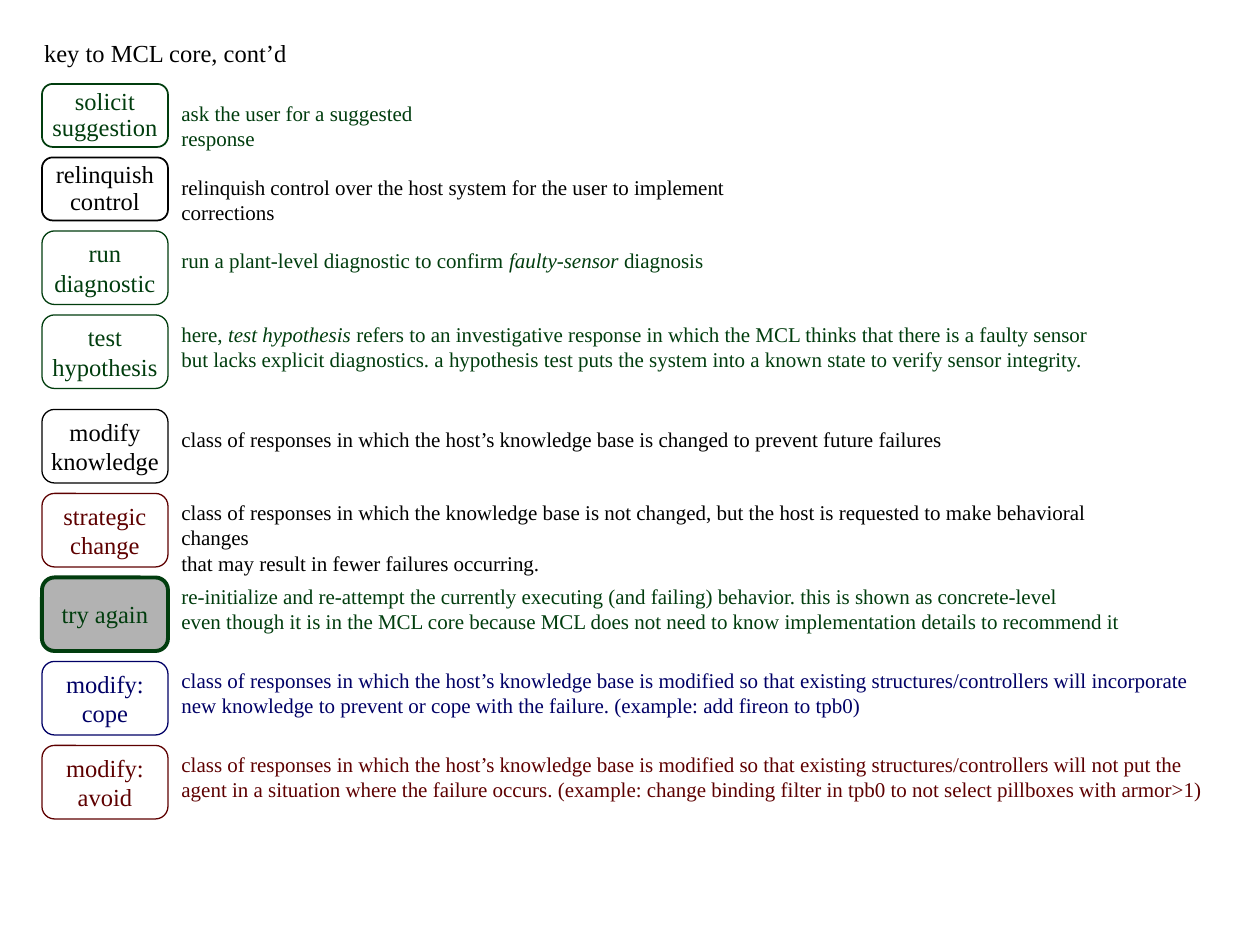
from pptx import Presentation
from pptx.dml.color import RGBColor
from pptx.enum.shapes import MSO_SHAPE
from pptx.enum.text import MSO_ANCHOR, MSO_AUTO_SIZE, PP_ALIGN
from pptx.util import Emu, Pt

BLACK = RGBColor(0x00, 0x00, 0x00)
GREEN = RGBColor(0x01, 0x3D, 0x0E)
RED = RGBColor(0x5E, 0x00, 0x00)
BLUE = RGBColor(0x00, 0x00, 0x66)
GRAY = RGBColor(0xB2, 0xB2, 0xB2)

SCALE = 7620
LEFT, WIDE = 40, 120
SHORT, TALL = 60, 70

ROWS = [
    (80, SHORT, GREEN, ["solicit", "suggestion"], GREEN, 319,
     ["ask the user for a suggested response"]),
    (150, SHORT, BLACK, ["relinquish", "control"], BLACK, 635,
     ["relinquish control over the host system for the user to implement corrections"]),
    (220, TALL, GREEN, ["run", "diagnostic"], GREEN, 521,
     ["run a plant-level diagnostic to confirm *faulty-sensor *diagnosis"]),
    (300, TALL, GREEN, ["test", "hypothesis"], GREEN, 888,
     ["here, *test hypothesis* refers to an investigative response in which the MCL thinks that there is a faulty sensor",
      "but lacks explicit diagnostics. a hypothesis test puts the system into a known state to verify sensor integrity."]),
    (390, TALL, BLACK, ["modify", "knowledge"], BLACK, 750,
     ["class of responses in which the host’s knowledge base is changed to prevent future failures"]),
    (470, TALL, RED, ["strategic", "change"], BLACK, 955,
     ["class of responses in which the knowledge base is not changed, but the host is requested to make behavioral changes",
      "that may result in fewer failures occurring."]),
    (550, TALL, GREEN, ["try again"], GREEN, 919,
     ["re-initialize and re-attempt the currently executing (and failing) behavior. this is shown as concrete-level",
      "even though it is in the MCL core because MCL does not need to know implementation details to recommend it"]),
    (630, TALL, BLUE, ["modify:", "cope"], BLUE, 985,
     ["class of responses in which the host’s knowledge base is modified so that existing structures/controllers will incorporate",
      "new knowledge to prevent or cope with the failure. (example: add fireon to tpb0)"]),
    (710, TALL, RED, ["modify:", "avoid"], RED, 997,
     ["class of responses in which the host’s knowledge base is modified so that existing structures/controllers will not put the",
      "agent in a situation where the failure occurs. (example: change binding filter in tpb0 to not select pillboxes with armor>1)"]),
]


def px(*nums):
    return [Emu(num * SCALE) for num in nums]


class Deck:
    face = "Times New Roman"
    large, small = Pt(14), Pt(12)

    def __init__(self):
        self.show = Presentation()
        self.show.slide_width, self.show.slide_height = px(1200, 900)
        self.slide = self.show.slides.add_slide(self.show.slide_layouts[5])

    def words(self, frame, lines, size, color, align=PP_ALIGN.LEFT, pitch=1.0):
        frame.word_wrap = False
        for num, line in enumerate(lines):
            para = frame.add_paragraph() if num else frame.paragraphs[0]
            para.alignment = align
            para.line_spacing = pitch
            for part, text in enumerate(line.split("*")):
                run = para.add_run()
                run.text = text
                font = run.font
                font.name, font.size = self.face, size
                font.italic = part % 2 == 1
                font.color.rgb = color

    def title(self, x, y, w, h, text):
        head = self.slide.shapes.title
        head.left, head.top, head.width, head.height = px(x, y, w, h)
        frame = head.text_frame
        frame.vertical_anchor = MSO_ANCHOR.TOP
        frame.auto_size = MSO_AUTO_SIZE.SHAPE_TO_FIT_TEXT
        self.words(frame, [text], self.large, BLACK)

    def box(self, x, y, w, h, lines, color, edge, pitch, fill=None):
        box = self.slide.shapes.add_shape(MSO_SHAPE.ROUNDED_RECTANGLE, *px(x, y, w, h))
        box.shadow.inherit = False
        box.adjustments[0] = 0.17
        if fill is None:
            box.fill.background()
        else:
            box.fill.solid()
            box.fill.fore_color.rgb = fill
        box.line.color.rgb = color
        box.line.width = Pt(edge)
        box.text_frame.vertical_anchor = MSO_ANCHOR.MIDDLE
        self.words(box.text_frame, lines, self.large, color, PP_ALIGN.CENTER, pitch)

    def note(self, x, y, w, h, lines, color):
        frame = self.slide.shapes.add_textbox(*px(x, y, w, h)).text_frame
        frame.auto_size = MSO_AUTO_SIZE.SHAPE_TO_FIT_TEXT
        self.words(frame, lines, self.small, color)

    def save(self):
        self.show.save("out.pptx")


def main():
    deck = Deck()
    deck.title(30, 30, 256, 41, "key to MCL core, cont’d")
    for top, high, color, label, ink, wide, lines in ROWS:
        edge, pitch = (1, 0.9) if high == SHORT else (0.75, 1.0)
        fill = None
        if label == ["try again"]:
            edge, fill = 2.25, GRAY
        deck.box(LEFT, top, WIDE, high, label, color, edge, pitch, fill)
        if len(lines) == 1:
            deck.note(161, top + 10, wide, 36, lines, ink)
        else:
            deck.note(161, top, wide, 60, lines, ink)
    deck.save()


if __name__ == "__main__":
    main()
